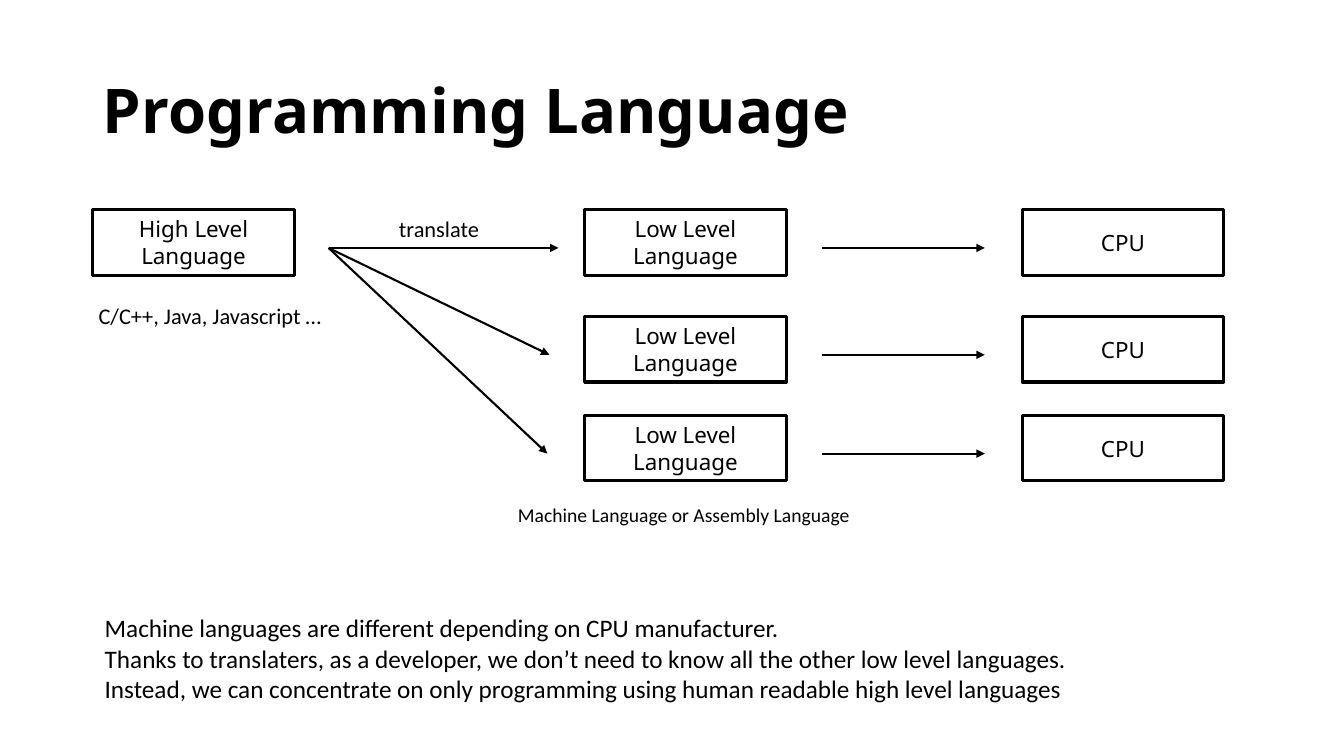
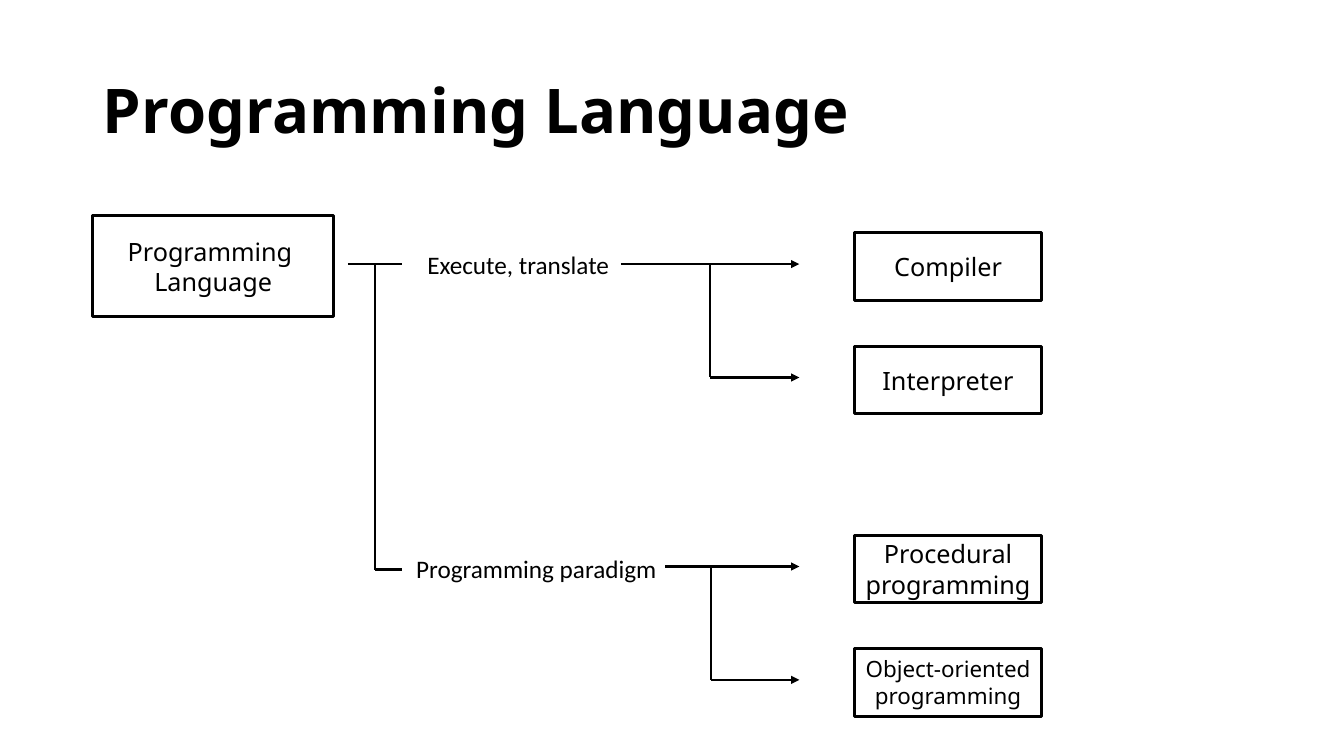
from dataclasses import dataclass

from lxml.etree import SubElement
from pptx import Presentation
from pptx.dml.color import RGBColor
from pptx.enum.shapes import MSO_CONNECTOR as Connector, MSO_SHAPE as Preset
from pptx.enum.text import MSO_ANCHOR as Anchor, MSO_AUTO_SIZE as AutoSize, PP_ALIGN as Align
from pptx.oxml.ns import qn
from pptx.slide import Slide
from pptx.text.text import TextFrame
from pptx.util import Inches, Length, Pt

# Shared style
COLORS = {"ink": "000000", "paper": "FFFFFF"}
HEADING_FONT = "Noto Sans"
LABEL_FONT = "Calibri"
TITLE = "Programming Language"
TITLE_ONLY = 5

# The grid has ten columns and ten rows to the inch
CELLS_PER_INCH = 10
SLIDE_COLUMNS, SLIDE_ROWS = 133.33, 75


@dataclass(frozen=True)
class Area:
    column: float
    row: float
    columns: float
    rows: float


@dataclass(frozen=True)
class Box:
    text: str
    area: Area
    size: int = 16


@dataclass(frozen=True)
class Label:
    text: str
    area: Area
    size: int = 16


@dataclass(frozen=True)
class Line:
    start: tuple[float, float]
    end: tuple[float, float]
    arrow: bool = False


@dataclass(frozen=True)
class Branch:
    row: float
    label: Label
    start_column: float
    trunk_column: float
    leaves: tuple[tuple[str, int], ...]


TITLE_AREA = Area(9.2, 4, 115, 14.5)


def cells(count: float) -> Length:
    return Inches(count / CELLS_PER_INCH)


def color(name: str) -> RGBColor:
    return RGBColor.from_string(COLORS[name])


def bounds(area: Area) -> tuple[Length, Length, Length, Length]:
    return cells(area.column), cells(area.row), cells(area.columns), cells(area.rows)


def write(frame: TextFrame, text: str, font: str, size: int,
          align: Align = Align.LEFT, bold: bool = False) -> None:
    frame.text = text
    for para in frame.paragraphs:
        para.alignment = align
        para.font.name = font
        para.font.size = Pt(size)
        para.font.bold = bold
        para.font.color.rgb = color("ink")


def add_page(deck: Presentation) -> Slide:
    page = deck.slides.add_slide(deck.slide_layouts[TITLE_ONLY])
    title = page.shapes.title
    title.left, title.top, title.width, title.height = bounds(TITLE_AREA)
    frame = title.text_frame
    write(frame, TITLE, HEADING_FONT, 44, bold=True)
    frame.paragraphs[0].line_spacing = 0.9
    frame.vertical_anchor = Anchor.MIDDLE
    frame.auto_size = AutoSize.NONE
    return page


def draw_box(page: Slide, box: Box) -> None:
    shape = page.shapes.add_shape(Preset.RECTANGLE, *bounds(box.area))
    shape.shadow.inherit = False
    shape.fill.solid()
    shape.fill.fore_color.rgb = color("paper")
    shape.line.color.rgb = color("ink")
    shape.line.width = Pt(2.25)
    shape.text_frame.vertical_anchor = Anchor.MIDDLE
    write(shape.text_frame, box.text, HEADING_FONT, box.size, Align.CENTER)


def draw_label(page: Slide, label: Label) -> None:
    frame = page.shapes.add_textbox(*bounds(label.area)).text_frame
    frame.word_wrap = False
    write(frame, label.text, LABEL_FONT, label.size)


def draw_line(page: Slide, line: Line) -> None:
    ends = [cells(value) for value in (*line.start, *line.end)]
    connector = page.shapes.add_connector(Connector.STRAIGHT, *ends)
    connector.line.color.rgb = color("ink")
    connector.line.width = Pt(1.5)
    properties = connector.element.spPr
    if line.arrow:
        SubElement(properties.find(qn("a:ln")), qn("a:tailEnd"), type="triangle")
    SubElement(properties, qn("a:effectLst"))


# Slide 1: one high level language, translated for three processors
def add_translation_page(deck: Presentation) -> None:
    page = add_page(deck)
    box_columns, box_rows, arrow_drop = 20, 6.5, 3.8
    # Top row of each level, with the column where its translation arrow ends
    levels = ((20.8, 55.4), (31.4, 54.5), (41.2, 54.3))
    source = (32.6, levels[0][0] + arrow_drop)

    draw_box(page, Box("High Level Language", Area(9.2, levels[0][0], box_columns, box_rows)))
    for row, arrow_end in levels:
        arrow_row = row + arrow_drop
        draw_box(page, Box("Low Level Language", Area(58, row, box_columns, box_rows)))
        draw_box(page, Box("CPU", Area(101.4, row, box_columns, box_rows)))
        draw_line(page, Line(source, (arrow_end, arrow_row), arrow=True))
        draw_line(page, Line((81.5, arrow_row), (97.7, arrow_row), arrow=True))

    statements = (
        "Machine languages are different depending on CPU manufacturer.",
        "Thanks to translaters, as a developer, we don’t need to know"
        " all the other low level languages.",
        "Instead, we can concentrate on only programming using"
        " human readable high level languages",
    )
    for label in (
        Label("translate", Area(38.6, 20.9, 10, 3.7)),
        Label("C/C++, Java, Javascript …", Area(8.8, 29.5, 24.4, 6.4)),
        Label("Machine Language or Assembly Language", Area(50.4, 49.4, 35.3, 3.4), 14),
        Label("\n".join(statements), Area(9.4, 60.3, 98.5, 10.1), 18),
    ):
        draw_label(page, label)


# Slide 2: tree of execution methods and paradigms
def draw_branch(page: Slide, branch: Branch) -> None:
    leaf_step, leaf_lift = 11.25, 3.1
    arrow_end = 79.3
    draw_label(page, branch.label)
    for index, (text, size) in enumerate(branch.leaves):
        row = branch.row + index * leaf_step
        start = branch.trunk_column if index else branch.start_column
        draw_line(page, Line((start, row), (arrow_end, row), arrow=True))
        draw_box(page, Box(text, Area(84.8, row - leaf_lift, 18.5, 6.7), size))
    last_row = branch.row + (len(branch.leaves) - 1) * leaf_step
    draw_line(page, Line((branch.trunk_column, branch.row), (branch.trunk_column, last_row)))


def add_tree_page(deck: Presentation) -> None:
    page = add_page(deck)
    draw_box(page, Box("Programming \nLanguage", Area(9.2, 21.4, 23.9, 10), 18))

    # Root lines
    trunk, stub_end, top, bottom = 37.2, 39.9, 26.2, 56.5
    for line in (
        Line((34.5, top), (stub_end, top)),
        Line((trunk, top), (trunk, bottom)),
        Line((trunk, bottom), (stub_end, bottom)),
    ):
        draw_line(page, line)

    # Branches with their leaves
    for branch in (
        Branch(26.2, Label("Execute, translate", Area(41.4, 24.2, 20.2, 4), 18),
               61.6, 70.4, (("Compiler", 18), ("Interpreter", 18))),
        Branch(56.2, Label("Programming paradigm", Area(40.3, 54.4, 26.1, 4), 18),
               66, 70.5, (("Procedural programming", 18),
                          ("Object-oriented programming", 16))),
    ):
        draw_branch(page, branch)


def main() -> None:
    deck = Presentation()
    deck.slide_width, deck.slide_height = cells(SLIDE_COLUMNS), cells(SLIDE_ROWS)
    add_translation_page(deck)
    add_tree_page(deck)
    deck.save("out.pptx")


main()
